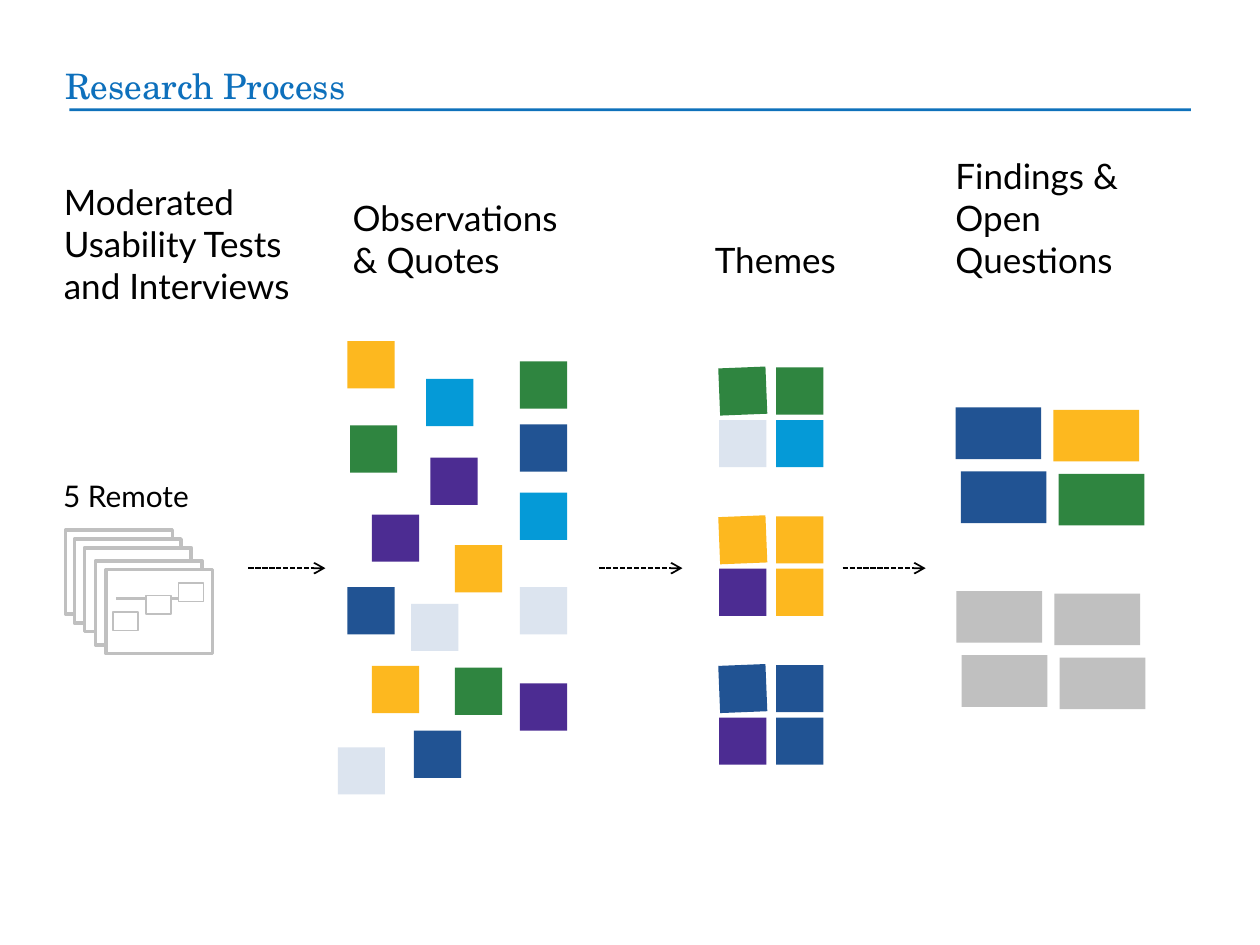
from lxml import etree
from pptx import Presentation
from pptx.dml.color import RGBColor
from pptx.enum import dml, shapes, text
from pptx.oxml.ns import qn
from pptx.util import Pt

YELLOW, GREEN, NAVY, SKY = "FDB81F", "2F8540", "215393", "059AD7"
PURPLE, PALE, GRAY, WHITE, BLACK = "4C2C92", "DCE4EF", "C0C0C0", "FFFFFF", "000000"
TITLE_BLUE, RULE_BLUE = "0E70BC", "0F71BB"
NOTE = 27

NOTES = [
    (19.5, 185.5, YELLOW), (67, 186.5, GREEN), (5.5, 140.5, NAVY), (50.5, 21.5, SKY),
    (19.5, 99, PURPLE), (42, 150, PALE), (53, 66.5, PURPLE), (104, 11.5, GREEN),
    (104, 47.5, NAVY), (104, 140.5, PALE), (104, 86.5, SKY), (67, 116.5, YELLOW),
    (104, 195.5, PURPLE), (43.5, 222.5, NAVY), (0, 232, PALE), (7, 48, GREEN),
    (5.5, 0, YELLOW),
]
THEMES = [
    (GREEN, GREEN, PALE, SKY),
    (YELLOW, YELLOW, PURPLE, YELLOW),
    (NAVY, NAVY, PURPLE, NAVY),
]
HEADINGS = [
    (36.5, 175, 135.5, ["Moderated Usability Tests and Interviews"]),
    (201.5, 160.5, 131, ["Observations", "& Quotes"]),
    (408.5, 160.5, 114, ["Themes"]),
    (546, 160.5, 136, ["Findings & Open Questions"]),
]


def color(value):
    """Turn a hex string into a colour."""
    return RGBColor.from_string(value)


def add_box(slide, left, top, width, height, fill, line=None, weight=1):
    """Add a flat rectangle, outlined only when a line colour is given."""
    shape = slide.shapes.add_shape(
        shapes.MSO_SHAPE.RECTANGLE, Pt(left), Pt(top), Pt(width), Pt(height))
    shape.shadow.inherit = False
    shape.fill.solid()
    shape.fill.fore_color.rgb = color(fill)
    if line:
        shape.line.color.rgb = color(line)
        shape.line.width = Pt(weight)
    else:
        shape.line.fill.background()
    return shape


def add_line(slide, left, right, y, line, weight):
    """Add a horizontal line without a shadow."""
    connector = slide.shapes.add_connector(
        shapes.MSO_CONNECTOR.STRAIGHT, Pt(left), Pt(y), Pt(right), Pt(y))
    connector.line.color.rgb = color(line)
    connector.line.width = Pt(weight)
    etree.SubElement(connector.element.spPr, qn("a:effectLst"))
    return connector


def add_arrow(slide, left, right, y):
    """Add a dashed arrow pointing right."""
    connector = add_line(slide, left, right, y, BLACK, 1)
    connector.line.dash_style = dml.MSO_LINE.SQUARE_DOT
    line = connector.element.spPr.find(qn("a:ln"))
    etree.SubElement(line, qn("a:tailEnd"), type="arrow")


def add_label(slide, left, top, width, height, lines, size, font="Lato",
              fill=BLACK, anchor=text.MSO_ANCHOR.BOTTOM, inset=0):
    """Add a text box holding one paragraph with optional line breaks."""
    shape = slide.shapes.add_textbox(Pt(left), Pt(top), Pt(width), Pt(height))
    frame = shape.text_frame
    frame.word_wrap = True
    frame.vertical_anchor = anchor
    frame.margin_left = frame.margin_right = Pt(inset)
    frame.margin_top = frame.margin_bottom = Pt(inset)
    paragraph = frame.paragraphs[0]
    for index, line in enumerate(lines):
        if index:
            paragraph.add_line_break()
        run = paragraph.add_run()
        run.text = line
        run.font.size = Pt(size)
        run.font.name = font
        run.font.color.rgb = color(fill)


def add_title(slide, left, top, width):
    """Add the slide title and the rule below it."""
    add_label(slide, left, top, width, 39.5, ["Research Process"], 20,
              "TeX Gyre Schola", TITLE_BLUE, inset=7.2)
    add_box(slide, left + 9.4, top + 33.1, 641, 1.6, RULE_BLUE)


def add_sessions(slide, left, top):
    """Add the label and the stack of session screens."""
    add_label(slide, left - 1.5, top - 30, 85, 29.5, ["5 Remote"], 17,
              anchor=text.MSO_ANCHOR.TOP)
    for x, y in [(0, 0), (5, 5), (10.8, 10), (17, 17.5), (23, 22.5)]:
        add_box(slide, left + x, top + y, 61, 48, WHITE, GRAY, 2)
    add_line(slide, left + 28.8, left + 77.8, top + 39, GRAY, 2)
    for x, y in [(27, 46.5), (45.8, 37.2), (64.5, 30)]:
        add_box(slide, left + x, top + y, 14.4, 10.8, WHITE, GRAY, 1)


def add_observations(slide, left, top):
    """Scatter the observation notes."""
    for x, y, fill in NOTES:
        add_box(slide, left + x, top + y, NOTE, NOTE, fill)


def add_theme(slide, left, top, fills):
    """Add four notes in a square, the first slightly tilted."""
    for index, fill in enumerate(fills):
        row, column = divmod(index, 2)
        note = add_box(slide, left + column * 32.5, top + row * 30, NOTE, NOTE, fill)
        if index == 0:
            note.rotation = -2.3


def add_findings(slide, left, top, fills):
    """Add four loosely aligned finding cards."""
    for index, fill in enumerate(fills):
        row, column = divmod(index, 2)
        add_box(slide, left + column * 56 + row * 3, top + column * 1.4 + row * 36.6,
                49, 29.5, fill)


def add_process(slide):
    """Place the four stages of the process with their headings and arrows."""
    for left, bottom, width, lines in HEADINGS:
        add_label(slide, left, bottom - 73, width, 73, lines, 20)
    add_sessions(slide, 37.5, 303)
    add_observations(slide, 193, 195)
    for index, fills in enumerate(THEMES):
        add_theme(slide, 411, 210 + index * 85, fills)
    add_findings(slide, 546, 232.8, [NAVY, YELLOW, NAVY, GREEN])
    add_findings(slide, 546.5, 337.8, [GRAY] * 4)
    for left, right in [(142, 186), (342.5, 390), (481.5, 529)]:
        add_arrow(slide, left, right, 324.7)


def main():
    """Build and save the presentation."""
    presentation = Presentation()
    presentation.slide_width, presentation.slide_height = Pt(720), Pt(540)
    slide = presentation.slides.add_slide(presentation.slide_layouts[6])
    add_title(slide, 30.2, 28.8, 628)
    add_process(slide)
    presentation.save("out.pptx")


if __name__ == "__main__":
    main()
